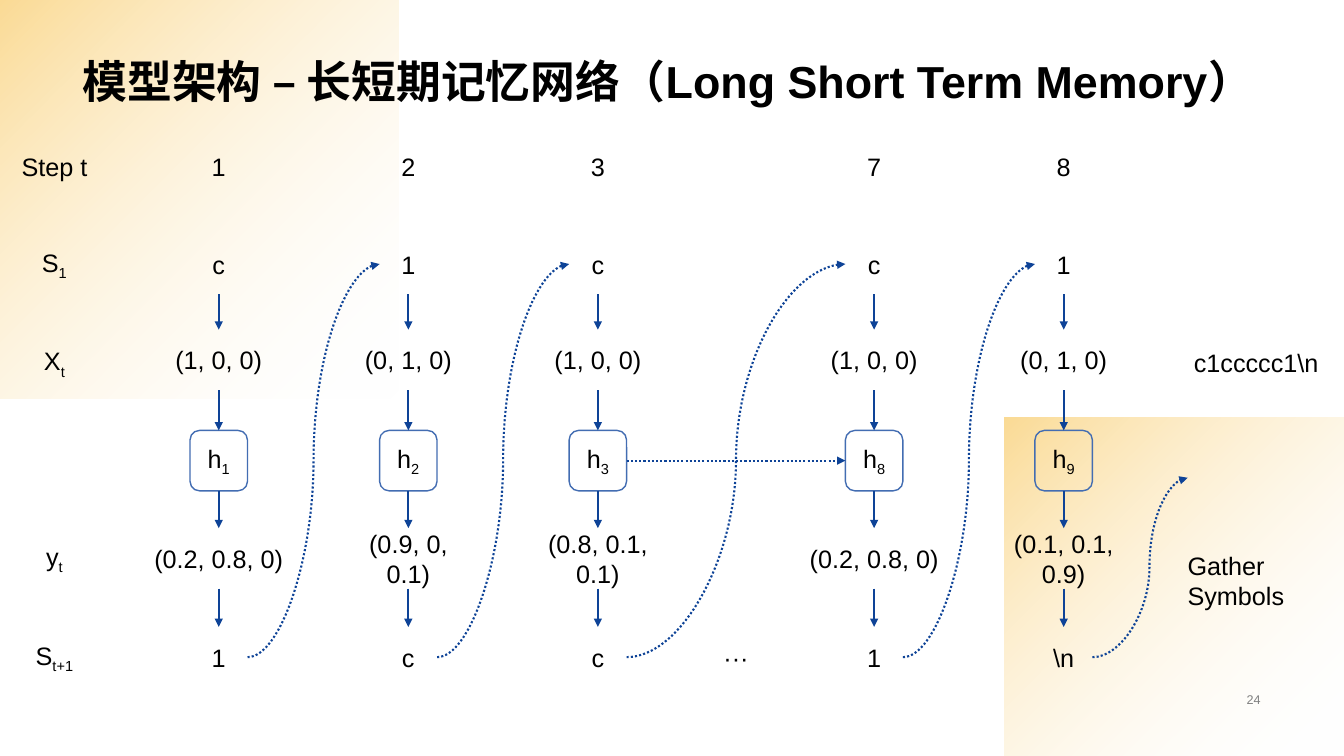
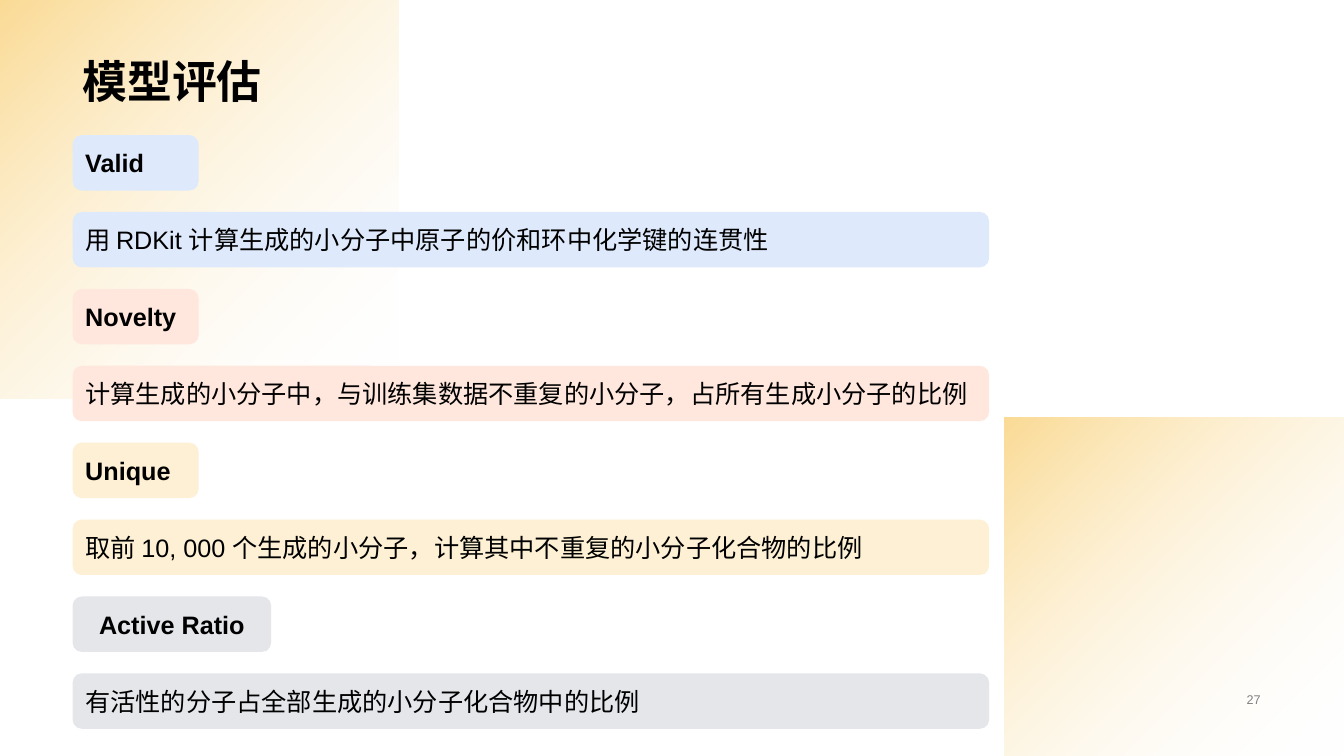
from lxml import etree
from pptx import Presentation
from pptx.dml.color import RGBColor
from pptx.enum.dml import MSO_LINE
from pptx.enum.shapes import MSO_CONNECTOR, MSO_SHAPE
from pptx.enum.text import MSO_ANCHOR, PP_ALIGN
from pptx.oxml import parse_xml
from pptx.oxml.ns import nsdecls, qn
from pptx.util import Inches, Pt

RECTANGLE = MSO_SHAPE.RECTANGLE
ROUNDED = MSO_SHAPE.ROUNDED_RECTANGLE
STRAIGHT = MSO_CONNECTOR.STRAIGHT
CURVE = MSO_CONNECTOR.CURVE
DOTTED = MSO_LINE.ROUND_DOT
LEFT, CENTER, RIGHT = PP_ALIGN.LEFT, PP_ALIGN.CENTER, PP_ALIGN.RIGHT
MIDDLE, BOTTOM, TOP = MSO_ANCHOR.MIDDLE, MSO_ANCHOR.BOTTOM, MSO_ANCHOR.TOP

BLACK = RGBColor(0x00, 0x00, 0x00)
GRAY = RGBColor(0x80, 0x80, 0x80)
ARROW_BLUE = RGBColor(0x0E, 0x43, 0x97)
BOX_BLUE = RGBColor(0x43, 0x6D, 0xB2)
PALE_BLUE = RGBColor(0xDE, 0xEA, 0xFC)
PALE_RED = RGBColor(0xFF, 0xE7, 0xDD)
PALE_YELLOW = RGBColor(0xFD, 0xF0, 0xD4)
PALE_GRAY = RGBColor(0xE4, 0xE6, 0xEA)
FONT = "Arial"

CORNER_PANELS = [(0, 0, 3.95), (9.96, 4.14, 3.37)]
CORNER_GRADIENT = f"""
<a:gradFill {nsdecls("a")} rotWithShape="0">
  <a:gsLst>
    <a:gs pos="0"><a:srgbClr val="F7B629"><a:alpha val="50000"/></a:srgbClr></a:gs>
    <a:gs pos="100000"><a:srgbClr val="FFFFFF"><a:alpha val="0"/></a:srgbClr></a:gs>
  </a:gsLst>
  <a:path path="circle"><a:fillToRect r="100000" b="100000"/></a:path>
</a:gradFill>"""

CELL_WIDTH, CELL_HEIGHT = 0.57, 0.6
ROW_TOPS = [1.35, 2.32, 3.27, 4.27, 5.24, 6.22]
HIDDEN_ROW = 3
ROW_LABELS = [
    ("Step t", 1.35, 1.08),
    ("S_1", 2.32, 0.57),
    ("X_t", 3.3, 0.57),
    ("y_t", 5.24, 0.57),
    ("S_t+1", 6.22, 0.7),
]
LABEL_CENTER = 0.54
VECTOR_WIDTH = 1.2
STEPS = [
    (2.17, 1.6, ["1", "c", "(1, 0, 0)", "h_1", "(0.2, 0.8, 0)", "1"]),
    (4.05, 1.49, ["2", "1", "(0, 1, 0)", "h_2", "(0.9, 0, 0.1)", "c"]),
    (5.93, 1.71, ["3", "c", "(1, 0, 0)", "h_3", "(0.8, 0.1, 0.1)", "c"]),
    (8.67, 1.71, ["7", "c", "(1, 0, 0)", "h_8", "(0.2, 0.8, 0)", "1"]),
    (10.55, 1.71, ["8", "1", "(0, 1, 0)", "h_9", "(0.1, 0.1, 0.9)", "\\n"]),
]

BAND_LEFT, BAND_TOP, BAND_HEIGHT, BAND_WIDTH = 0.72, 1.34, 0.55, 9.09
BAND_PITCH = 5.34 / 7
METRICS = [
    ("Valid", 1.25, LEFT, PALE_BLUE, "用 RDKit 计算生成的小分子中原子的价和环中化学键的连贯性"),
    ("Novelty", 1.25, LEFT, PALE_RED, "计算生成的小分子中，与训练集数据不重复的小分子，占所有生成小分子的比例"),
    ("Unique", 1.25, LEFT, PALE_YELLOW, "取前 10, 000 个生成的小分子，计算其中不重复的小分子化合物的比例"),
    ("Active Ratio", 1.97, CENTER, PALE_GRAY, "有活性的分子占全部生成的小分子化合物中的比例"),
]


def write_paragraph(paragraph, text, size=18, color=BLACK, bold=False, align=LEFT):
    base, _, subscript = text.partition("_")
    paragraph.add_run().text = base
    if subscript:
        run = paragraph.add_run()
        run.text = subscript
        run._r.get_or_add_rPr().set("baseline", "-25000")
    paragraph.alignment = align
    paragraph.font.name = FONT
    paragraph.font.size = Pt(size)
    paragraph.font.bold = bold
    paragraph.font.color.rgb = color


def add_text(slide, text, left, top, width, height, anchor=MIDDLE, wrap=True, **style):
    shape = slide.shapes.add_textbox(Inches(left), Inches(top), Inches(width), Inches(height))
    frame = shape.text_frame
    frame.word_wrap = wrap
    frame.vertical_anchor = anchor
    for index, line in enumerate(text.split("\n")):
        paragraph = frame.add_paragraph() if index else frame.paragraphs[0]
        write_paragraph(paragraph, line, **style)
    return shape


def add_box(slide, text, left, top, width, height, fill=None, outline=None, **style):
    shape = slide.shapes.add_shape(ROUNDED, Inches(left), Inches(top), Inches(width), Inches(height))
    shape.shadow.inherit = False
    if fill is None:
        shape.fill.background()
    else:
        shape.fill.solid()
        shape.fill.fore_color.rgb = fill
    if outline is None:
        shape.line.fill.background()
    else:
        shape.line.color.rgb = outline
        shape.line.width = Pt(1)
    frame = shape.text_frame
    frame.word_wrap = True
    frame.vertical_anchor = MIDDLE
    write_paragraph(frame.paragraphs[0], text, **style)


def add_cell(slide, text, center, top, width=CELL_WIDTH, outline=None):
    add_box(slide, text, center - width / 2, top, width, CELL_HEIGHT, outline=outline, align=CENTER)


def add_arrow(slide, start, end, kind=STRAIGHT, dotted=False, bend=None):
    connector = slide.shapes.add_connector(kind, *(Inches(value) for value in (*start, *end)))
    connector.line.color.rgb = ARROW_BLUE
    connector.line.width = Pt(1.5)
    if dotted:
        connector.line.dash_style = DOTTED
    etree.SubElement(connector.line._get_or_add_ln(), qn("a:tailEnd"), type="triangle")
    properties = connector._element.spPr
    etree.SubElement(properties, qn("a:effectLst"))
    if bend is not None:
        guides = properties.find(qn("a:prstGeom")).get_or_add_avLst()
        etree.SubElement(guides, qn("a:gd"), name="adj1", fmla=f"val {bend}")


def add_corner_panel(slide, left, top, side):
    shape = slide.shapes.add_shape(RECTANGLE, Inches(left), Inches(top), Inches(side), Inches(side))
    shape.shadow.inherit = False
    shape.line.fill.background()
    shape._element.spPr.find(qn("a:prstGeom")).addnext(parse_xml(CORNER_GRADIENT))


def add_slide(presentation, title, number):
    slide = presentation.slides.add_slide(presentation.slide_layouts[6])
    for panel in CORNER_PANELS:
        add_corner_panel(slide, *panel)
    heading = add_text(slide, title, 0.72, 0, 11.88, 1.12, anchor=BOTTOM, size=32, bold=True)
    heading.text_frame.paragraphs[0].line_spacing = 0.9
    add_text(slide, number, 9.81, 6.82, 2.79, 0.23, size=9, color=GRAY, align=RIGHT)
    return slide


def add_step(slide, center, output_width, texts):
    widths = [CELL_WIDTH, CELL_WIDTH, VECTOR_WIDTH, CELL_WIDTH, output_width, CELL_WIDTH]
    for row, (text, top, width) in enumerate(zip(texts, ROW_TOPS, widths)):
        add_cell(slide, text, center, top, width, BOX_BLUE if row == HIDDEN_ROW else None)
    for upper, lower in zip(ROW_TOPS[1:], ROW_TOPS[2:]):
        add_arrow(slide, (center, upper + CELL_HEIGHT), (center, lower))


def build_architecture(presentation):
    slide = add_slide(presentation, "模型架构 – 长短期记忆网络（Long Short Term Memory）", "24")
    for text, top, width in ROW_LABELS:
        add_cell(slide, text, LABEL_CENTER, top, width)
    for step in STEPS:
        add_step(slide, *step)

    half = CELL_WIDTH / 2
    input_y, hidden_y, output_y = (ROW_TOPS[row] + CELL_HEIGHT / 2 for row in (1, HIDDEN_ROW, 5))
    centers = [step[0] for step in STEPS]
    for center, following in zip(centers, centers[1:]):
        add_arrow(slide, (center + half, output_y), (following - half, input_y), CURVE, dotted=True)
    add_arrow(slide, (centers[2] + half, hidden_y), (centers[3] - half, hidden_y), dotted=True)
    add_arrow(slide, (centers[-1] + half, output_y), (11.78, 4.74), CURVE, dotted=True, bend=59900)

    add_cell(slide, "···", (centers[2] + centers[3]) / 2, ROW_TOPS[5])
    add_cell(slide, "c1ccccc1\\n", 12.46, 3.3, 1.63)
    add_text(slide, "Gather\nSymbols", 11.68, 5.41, 1.17, 0.71, anchor=TOP, wrap=False)


def build_evaluation(presentation):
    slide = add_slide(presentation, "模型评估", "27")
    for index, (name, width, align, color, description) in enumerate(METRICS):
        top = BAND_TOP + 2 * index * BAND_PITCH
        add_box(slide, name, BAND_LEFT, top, width, BAND_HEIGHT, fill=color, bold=True, align=align)
        add_box(slide, description, BAND_LEFT, top + BAND_PITCH, BAND_WIDTH, BAND_HEIGHT, fill=color)


def main():
    presentation = Presentation()
    presentation.slide_width = Inches(13.33)
    presentation.slide_height = Inches(7.5)
    build_architecture(presentation)
    build_evaluation(presentation)
    presentation.save("out.pptx")


if __name__ == "__main__":
    main()
